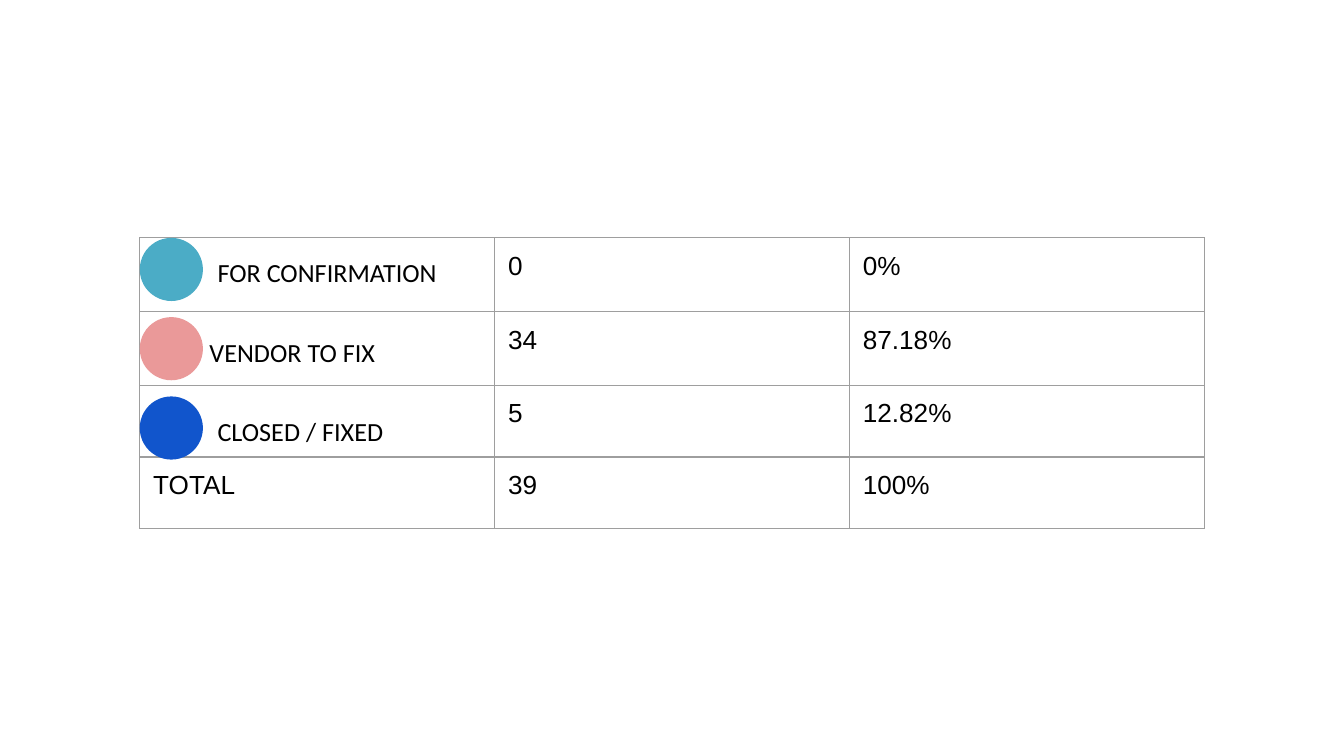
import dataclasses

import lxml.etree
import pptx
import pptx.dml.color
import pptx.enum.shapes
import pptx.oxml.ns
import pptx.util

Inches = pptx.util.Inches


@dataclasses.dataclass(frozen=True)
class Theme:
    text: str = "000000"
    border: str = "9E9E9E"
    table_font: str = "Arial"
    label_font: str = "Calibri"
    size: int = 14
    border_width: float = 0.75
    inset: float = 0.1


THEME = Theme()

# Widescreen slide, table grid and legend rhythm, in inches
SLIDE_WIDTH = 10
SLIDE_HEIGHT = SLIDE_WIDTH * 9 / 16
LEFT, TOP = 1.04, 1.77
COL_WIDTH = 2.64
ROW_HEIGHTS = [0.55, 0.55, 0.53, 0.53]
DOT_SIZE = 0.47
LEGEND_STEP = 0.59

ROWS = [
    ["", "0", "0%"],
    ["", "34", "87.18%"],
    ["", "5", "12.82%"],
    ["TOTAL", "39", "100%"],
]
# Status name, dot colour, left edge of the label
LEGEND = [
    ("FOR CONFIRMATION", "4BACC6", 1.52),
    ("VENDOR TO FIX", "EA9999", 1.46),
    ("CLOSED / FIXED", "1155CC", 1.52),
]


def rgb(value):
    return pptx.dml.color.RGBColor.from_string(value)


def set_text(tf, text, font):
    tf.text = text
    for r in tf.paragraphs[0].runs:
        r.font.name = font
        r.font.size = pptx.util.Pt(THEME.size)
        r.font.color.rgb = rgb(THEME.text)


def set_insets(box):
    box.margin_left = box.margin_right = Inches(THEME.inset)
    box.margin_top = box.margin_bottom = Inches(THEME.inset)


def set_borders(cell):
    qn = pptx.oxml.ns.qn
    tc_pr = cell._tc.get_or_add_tcPr()
    width = str(pptx.util.Pt(THEME.border_width))
    for i, side in enumerate(("a:lnL", "a:lnR", "a:lnT", "a:lnB")):
        ln = lxml.etree.Element(qn(side), w=width)
        fill = lxml.etree.SubElement(ln, qn("a:solidFill"))
        lxml.etree.SubElement(fill, qn("a:srgbClr"), val=THEME.border)
        tc_pr.insert(i, ln)


def add_status_table(s):
    n_cols = len(ROWS[0])
    frame = s.shapes.add_table(
        len(ROWS), n_cols, Inches(LEFT), Inches(TOP),
        Inches(COL_WIDTH * n_cols), Inches(sum(ROW_HEIGHTS)))
    table = frame.table
    table.first_row = table.horz_banding = False
    for col in table.columns:
        col.width = Inches(COL_WIDTH)
    for row, height, values in zip(table.rows, ROW_HEIGHTS, ROWS):
        row.height = Inches(height)
        for cell, value in zip(row.cells, values):
            set_insets(cell)
            set_text(cell.text_frame, value, THEME.table_font)
            cell.fill.background()
            set_borders(cell)


def add_dot(s, top, color):
    sp = s.shapes.add_shape(
        pptx.enum.shapes.MSO_SHAPE.OVAL, Inches(LEFT), Inches(top),
        Inches(DOT_SIZE), Inches(DOT_SIZE))
    sp.shadow.inherit = False
    sp.fill.solid()
    sp.fill.fore_color.rgb = rgb(color)
    sp.line.fill.background()


def add_label(s, left, top, text):
    sp = s.shapes.add_textbox(
        Inches(left), Inches(top), Inches(2.21), Inches(0.4))
    tf = sp.text_frame
    tf.word_wrap = True
    set_insets(tf)
    set_text(tf, text, THEME.label_font)


def main():
    prs = pptx.Presentation()
    prs.slide_width = Inches(SLIDE_WIDTH)
    prs.slide_height = Inches(SLIDE_HEIGHT)
    s = prs.slides.add_slide(prs.slide_layouts[6])

    # Status counts and shares
    add_status_table(s)

    # Legend over the first column
    for i, (text, color, left) in enumerate(LEGEND):
        top = TOP + i * LEGEND_STEP
        add_dot(s, top, color)
        add_label(s, left, top + 0.04, text)

    prs.save("out.pptx")


if __name__ == "__main__":
    main()
